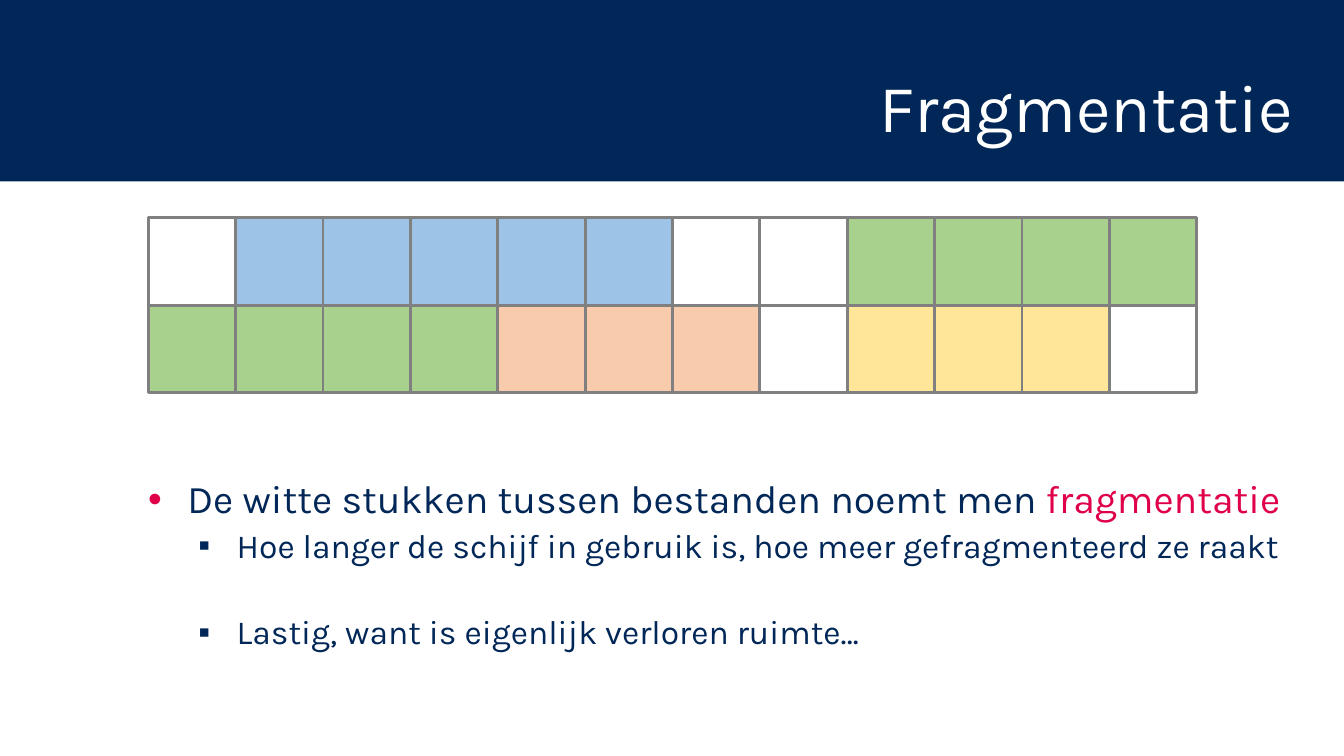
from dataclasses import dataclass

from lxml import etree
from pptx import Presentation
from pptx.dml.color import RGBColor
from pptx.enum.shapes import MSO_SHAPE
from pptx.enum.text import MSO_ANCHOR, PP_ALIGN
from pptx.oxml.ns import qn
from pptx.util import Inches, Pt

RECTANGLE = MSO_SHAPE.RECTANGLE
MIDDLE = MSO_ANCHOR.MIDDLE
RIGHT = PP_ALIGN.RIGHT
TITLE_ONLY = 5


@dataclass(frozen=True)
class Theme:
    font: str = "Karla"
    navy: str = "002757"
    accent: str = "E00049"
    white: str = "FFFFFF"
    grid: str = "808080"
    blue: str = "9DC3E6"
    green: str = "A9D18E"
    orange: str = "F8CBAD"
    yellow: str = "FFE699"
    title_size: int = 48
    point_size: int = 28
    detail_size: int = 24
    line_spacing: float = 0.9


THEME = Theme()
DISK_ROWS = (
    ((THEME.white, 1), (THEME.blue, 5), (THEME.white, 2), (THEME.green, 4)),
    ((THEME.green, 4), (THEME.orange, 3), (THEME.white, 1),
     (THEME.yellow, 3), (THEME.white, 1)),
)
DISK_LEFT, DISK_TOP, DISK_WIDTH = 1.47, 2.16, 10.4
BLOCK = DISK_WIDTH / 12


def add_text(paragraph, text, *, size, color):
    run = paragraph.add_run()
    run.text = text
    run.font.name = THEME.font
    run.font.size = Pt(size)
    run.font.color.rgb = RGBColor.from_string(color)


def add_rectangle(shapes, left, top, width, height, *, fill, line=None):
    rectangle = shapes.add_shape(
        RECTANGLE, Inches(left), Inches(top), Inches(width), Inches(height))
    rectangle.shadow.inherit = False
    rectangle.fill.solid()
    rectangle.fill.fore_color.rgb = RGBColor.from_string(fill)
    if line:
        rectangle.line.color.rgb = RGBColor.from_string(line)
        rectangle.line.width = Pt(2)
    else:
        rectangle.line.fill.background()
    return rectangle


def add_header(slide):
    band = add_rectangle(slide.shapes, 0, 0, 13.33, 1.8, fill=THEME.navy)
    slide.shapes._spTree.insert(2, band._element)
    title = slide.shapes.title
    title.left, title.top = Inches(2.05), Inches(0.4)
    title.width, title.height = Inches(10.88), Inches(1.4)
    title.text_frame.vertical_anchor = MIDDLE
    heading = title.text_frame.paragraphs[0]
    heading.alignment = RIGHT
    heading.line_spacing = THEME.line_spacing
    add_text(heading, "Fragmentatie", size=THEME.title_size, color=THEME.white)


def add_disk(slide):
    disk = slide.shapes.add_group_shape()
    for row, files in enumerate(DISK_ROWS):
        colors = [color for color, count in files for _ in range(count)]
        for column, color in enumerate(colors):
            add_rectangle(
                disk.shapes, DISK_LEFT + column * BLOCK, DISK_TOP + row * BLOCK,
                BLOCK, BLOCK, fill=color, line=THEME.grid)


def format_bullet(paragraph, symbol, *, color, margin, hanging, level=0, before=0):
    properties = paragraph._p.get_or_add_pPr()
    properties.set("marL", str(Inches(margin)))
    properties.set("indent", str(-Inches(hanging)))
    bullet_color = etree.SubElement(properties, qn("a:buClr"))
    etree.SubElement(bullet_color, qn("a:srgbClr"), val=color)
    etree.SubElement(properties, qn("a:buFont"), typeface="Arial")
    etree.SubElement(properties, qn("a:buChar"), char=symbol)
    paragraph.level = level
    paragraph.line_spacing = THEME.line_spacing
    if before:
        paragraph.space_before = Pt(before)


def add_detail(frame, text, *, before):
    detail = frame.add_paragraph()
    format_bullet(detail, "▪", color=THEME.navy, margin=0.88, hanging=0.38,
                  level=1, before=before)
    add_text(detail, text, size=THEME.detail_size, color=THEME.navy)


def add_explanation(slide):
    explanation = slide.shapes.add_textbox(
        Inches(1.37), Inches(4.71), Inches(11.56), Inches(1.92))
    frame = explanation.text_frame
    frame.word_wrap = True
    point = frame.paragraphs[0]
    format_bullet(point, "•", color=THEME.accent, margin=0.39, hanging=0.39)
    add_text(point, "De witte stukken tussen bestanden noemt men ",
             size=THEME.point_size, color=THEME.navy)
    add_text(point, "fragmentatie", size=THEME.point_size, color=THEME.accent)
    add_detail(
        frame,
        "Hoe langer de schijf in gebruik is, hoe meer gefragmenteerd ze raakt",
        before=5)
    add_detail(frame, "Lastig, want is eigenlijk verloren ruimte…", before=36)


def main():
    presentation = Presentation()
    presentation.slide_width = Inches(13.33)
    presentation.slide_height = Inches(7.5)
    slide = presentation.slides.add_slide(presentation.slide_layouts[TITLE_ONLY])
    add_header(slide)
    add_disk(slide)
    add_explanation(slide)
    presentation.save("out.pptx")


if __name__ == "__main__":
    main()
